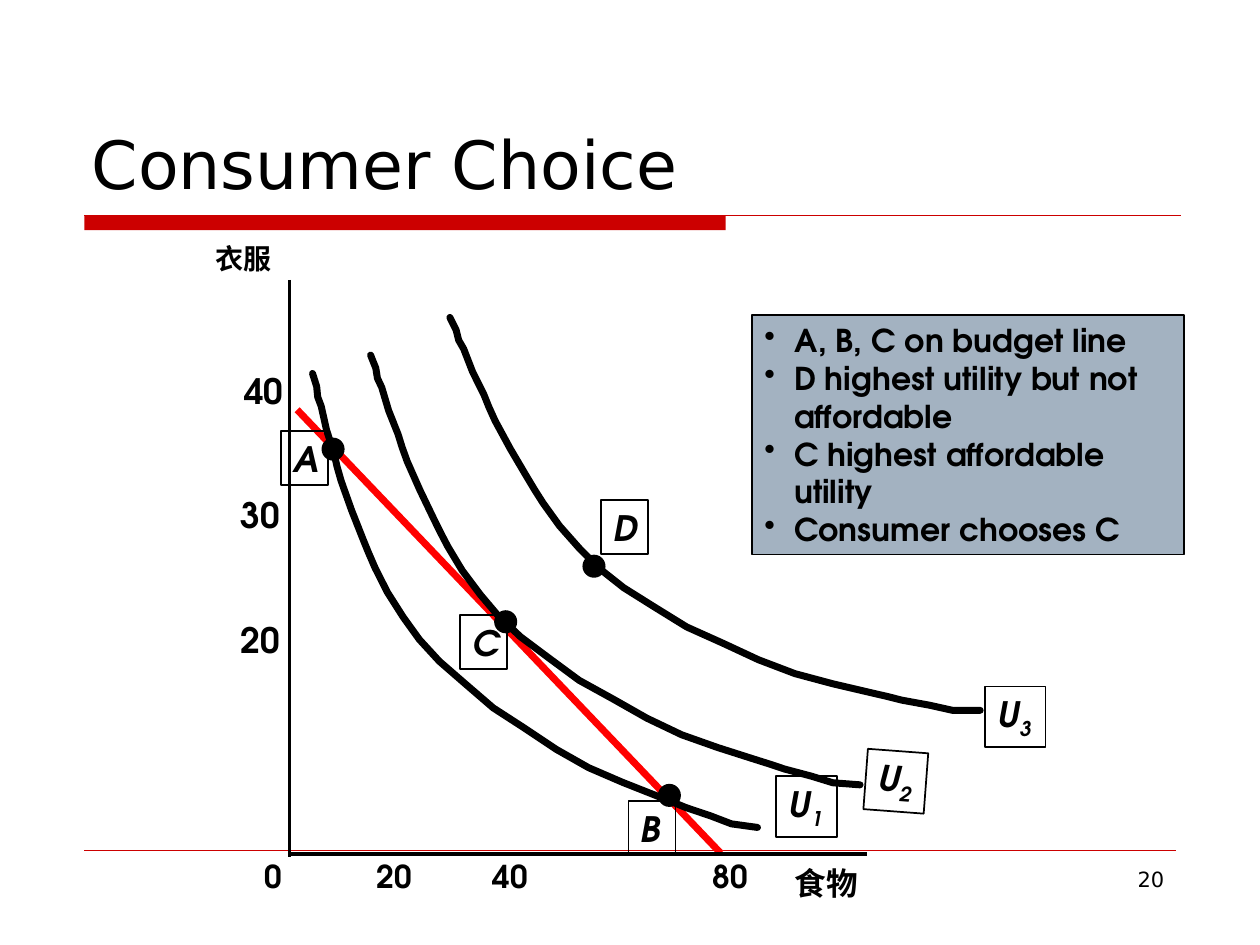
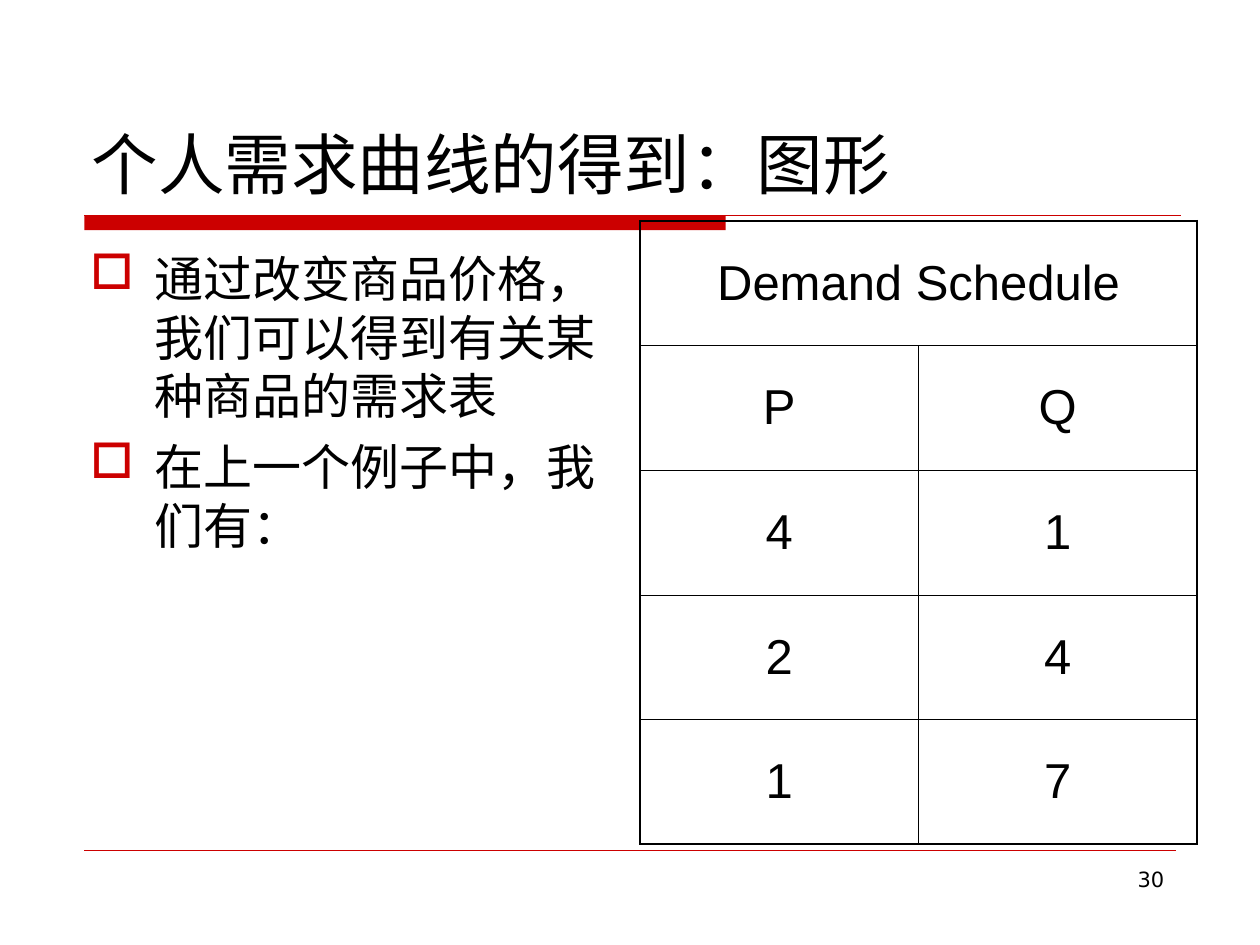
from lxml.etree import SubElement
from pptx import Presentation
from pptx.dml.color import RGBColor
from pptx.enum.shapes import MSO_CONNECTOR, MSO_SHAPE
from pptx.enum.text import MSO_ANCHOR, PP_ALIGN
from pptx.oxml.ns import qn
from pptx.util import Cm, Pt

BLACK, RED, BUDGET_RED, PANEL = "000000", "CC0000", "FF0000", "A3B2C1"
HEADING, DIAGRAM, BODY, TABLE = "DejaVu Sans", "TeX Gyre Adventor", "Times New Roman", "Arial"

# Common outline of every indifference curve
CURVE_WIDTH, CURVE_HEIGHT = 421, 311
CURVE = [
    (0, 0), (2, 4), (5, 10), (7, 18), (11, 25), (18, 43), (27, 61), (31, 71),
    (36, 82), (48, 104), (61, 126), (67, 136), (74, 147), (87, 165), (103, 183),
    (119, 199), (138, 214), (162, 229), (188, 245), (217, 258), (245, 271),
    (274, 282), (304, 290), (334, 297), (347, 300), (359, 303), (381, 307),
    (399, 311), (406, 311), (412, 311), (417, 311), (421, 311),
]


def rgb(value):
    return RGBColor.from_string(value)


def add_run(paragraph, text, size, font, bold=False, italic=False):
    run = paragraph.add_run()
    run.text = text
    run.font.size = Pt(size)
    run.font.name = font
    run.font.bold = bold
    run.font.italic = italic
    run.font.color.rgb = rgb(BLACK)
    return run


def add_text(slide, box, text, size, font, bold=False, align=PP_ALIGN.LEFT,
             anchor=MSO_ANCHOR.TOP, wrap=True):
    frame = slide.shapes.add_textbox(*map(Cm, box)).text_frame
    frame.word_wrap = wrap
    frame.vertical_anchor = anchor
    frame.paragraphs[0].alignment = align
    add_run(frame.paragraphs[0], text, size, font, bold)


def add_bullets(frame, items, mark, color, indent, gap, size, font, bold=False):
    frame.word_wrap = True
    for number, item in enumerate(items):
        paragraph = frame.add_paragraph() if number else frame.paragraphs[0]
        properties = paragraph._p.get_or_add_pPr()
        properties.set("marL", str(Cm(indent)))
        properties.set("indent", str(-Cm(indent)))
        SubElement(SubElement(properties, qn("a:buClr")), qn("a:srgbClr"), val=color)
        SubElement(properties, qn("a:buChar"), char=mark)
        paragraph.alignment = PP_ALIGN.LEFT
        if number:
            paragraph.space_before = Pt(gap)
        add_run(paragraph, item, size, font, bold)


def add_line(slide, start, end, color, width):
    line = slide.shapes.add_connector(MSO_CONNECTOR.STRAIGHT, *map(Cm, start + end))
    line.line.color.rgb = rgb(color)
    line.line.width = Pt(width)
    SubElement(line.element.spPr, qn("a:effectLst"))


def add_preset(slide, preset, box, fill=None, line=BLACK):
    shape = slide.shapes.add_shape(preset, *map(Cm, box))
    shape.shadow.inherit = False
    if fill:
        shape.fill.solid()
        shape.fill.fore_color.rgb = rgb(fill)
    else:
        shape.fill.background()
    if line:
        shape.line.color.rgb = rgb(line)
        shape.line.width = Pt(1)
    else:
        shape.line.fill.background()
    shape.text_frame.vertical_anchor = MSO_ANCHOR.TOP
    return shape


def add_frame(prs, title, page):
    """Blank slide with title, red band, footer rule and page number."""
    slide = prs.slides.add_slide(prs.slide_layouts[6])
    add_preset(slide, MSO_SHAPE.RECTANGLE, (1.7, 4.34, 12.93, 0.3), RED, None)
    add_line(slide, (1.7, 4.34), (23.8, 4.34), RED, 0.75)
    add_line(slide, (1.7, 17.15), (23.7, 17.15), RED, 0.25)
    add_text(slide, (1.6, 0.84, 22.23, 3.38), title, 38, HEADING, anchor=MSO_ANCHOR.BOTTOM)
    add_text(slide, (18.21, 17.35, 5.51, 1.32), page, 12, HEADING, align=PP_ALIGN.RIGHT)
    return slide


def add_label(slide, box, letter, subscript="", rotation=0):
    label = add_preset(slide, MSO_SHAPE.RECTANGLE, box)
    label.rotation = rotation
    label.text_frame.word_wrap = False
    paragraph = label.text_frame.paragraphs[0]
    paragraph.alignment = PP_ALIGN.LEFT
    add_run(paragraph, letter, 20, DIAGRAM, True, True)
    if subscript:
        run = add_run(paragraph, subscript, 20, DIAGRAM, True, True)
        run.font._element.set("baseline", "-25000")


def add_curve(slide, left, top, width, height, rotation):
    scale = Cm(width) / CURVE_WIDTH, Cm(height) / CURVE_HEIGHT
    builder = slide.shapes.build_freeform(*CURVE[0], scale=scale)
    builder.add_line_segments(CURVE[1:], close=False)
    curve = builder.convert_to_shape(Cm(left), Cm(top))
    curve.shadow.inherit = False
    curve.fill.background()
    curve.line.color.rgb = rgb(BLACK)
    curve.line.width = Pt(4)
    outline = curve.element.spPr.find(qn("a:ln"))
    outline.set("cap", "rnd")
    SubElement(outline, qn("a:round"))
    curve.rotation = rotation


def add_choice_diagram(slide, left, top):
    def at(x, y):
        return left + x, top + y

    # Budget line
    add_line(slide, at(1.99, 3.76), at(10.53, 12.7), BUDGET_RED, 4)

    # Axes with their names and ticks
    add_line(slide, at(1.82, 12.72), at(13.48, 12.72), BLACK, 2)
    add_line(slide, at(1.84, 1.14), at(1.84, 12.77), BLACK, 2)
    add_text(slide, (*at(0.09, 0.25), 1.63, 0.91), "衣服", 16, DIAGRAM, True,
             PP_ALIGN.RIGHT, wrap=False)
    add_text(slide, (*at(11.77, 12.8), 1.78, 1.02), "食物", 18, DIAGRAM, True, wrap=False)
    for step, (tick, x) in enumerate([("40", 0.67), ("30", 0.6), ("20", 0.6)]):
        add_text(slide, (*at(x, 2.82 + 2.51 * step), 1.32, 1.09), tick, 20, DIAGRAM, True,
                 wrap=False)
    for tick, x, width in [("0", 1.08, 0.86), ("20", 3.34, 1.22), ("40", 5.68, 1.22),
                           ("80", 10.12, 1.22)]:
        add_text(slide, (*at(x, 12.65), width, 1.02), tick, 18, DIAGRAM, True, wrap=False)

    # Indifference curves: curve place, size, rotation, label place and rotation
    curves = [
        ("3", (5.07, 1.9), (10.69, 7.92), 0, (15.86, 9.34), 0),
        ("2", (3.16, 3.04), (10.49, 7.9), 4.3, (13.45, 10.64), 4.3),
        ("1", (1.72, 3.68), (10.13, 7.85), 7.8, (11.65, 11.15), 0),
    ]
    for level, place, size, rotation, label_place, label_rotation in curves:
        add_curve(slide, *at(*place), *size, rotation)
        add_label(slide, (*at(*label_place), 1.22, 1.22), "U", level, label_rotation)

    # Bundles: dot and label
    bundles = [
        ("A", (2.5, 4.34), (1.66, 4.19)),
        ("B", (9.28, 11.32), (8.67, 11.65)),
        ("C", (5.98, 7.82), (5.27, 7.9)),
        ("D", (7.76, 6.7), (8.12, 5.58)),
    ]
    for bundle, dot_place, label_place in bundles:
        add_preset(slide, MSO_SHAPE.OVAL, (*at(*dot_place), 0.43, 0.43), BLACK)
        add_label(slide, (*at(*label_place), 0.95, 1.09), bundle)


def add_conclusions(slide, box):
    panel = add_preset(slide, MSO_SHAPE.RECTANGLE, box, PANEL)
    conclusions = ["A, B, C on budget line", "D highest utility but not affordable",
                   "C highest affordable utility", "Consumer chooses C"]
    add_bullets(panel.text_frame, conclusions, "•", BLACK, 0.6, 0, 18, DIAGRAM, True)


def add_explanation(slide, box):
    frame = slide.shapes.add_textbox(*map(Cm, box)).text_frame
    points = ["通过改变商品价格，我们可以得到有关某种商品的需求表", "在上一个例子中，我们有："]
    add_bullets(frame, points, "□", RED, 1.3, 7, 28, BODY)


def set_borders(cell, widths):
    properties = cell._tc.get_or_add_tcPr()
    for side, width in zip(("a:lnL", "a:lnR", "a:lnT", "a:lnB"), widths):
        border = SubElement(properties, qn(side), w=str(Pt(width)))
        fill = SubElement(border, qn("a:solidFill"))
        SubElement(fill, qn("a:srgbClr"), val=BLACK)


def add_demand_schedule(slide, box):
    schedule = [("Demand Schedule", ""), ("P", "Q"), ("4", "1"), ("2", "4"), ("1", "7")]
    last = len(schedule) - 1
    table = slide.shapes.add_table(len(schedule), 2, *map(Cm, box)).table
    table.first_row = table.horz_banding = False
    outer, inner = 1.08, 0.45
    for row, values in enumerate(schedule):
        for column, value in enumerate(values):
            cell = table.cell(row, column)
            set_borders(cell, [outer if edge else inner for edge in
                               (column == 0, column == 1 or row == 0, row == 0, row == last)])
            cell.fill.background()
            cell.vertical_anchor = MSO_ANCHOR.MIDDLE
            if value:
                paragraph = cell.text_frame.paragraphs[0]
                paragraph.alignment = PP_ALIGN.CENTER
                add_run(paragraph, value, 28, TABLE)
    table.cell(0, 0).merge(table.cell(0, 1))


def main():
    prs = Presentation()
    prs.slide_width, prs.slide_height = Cm(25.4), Cm(19.05)

    choice = add_frame(prs, "Consumer Choice", "20")
    add_choice_diagram(choice, 4, 4.5)
    add_conclusions(choice, (15.16, 6.35, 8.71, 4.83))

    demand = add_frame(prs, "个人需求曲线的得到：图形", "30")
    add_explanation(demand, (1.57, 4.88, 10.9, 11.86))
    add_demand_schedule(demand, (12.9, 4.45, 11.23, 12.57))

    prs.save("out.pptx")


if __name__ == "__main__":
    main()
